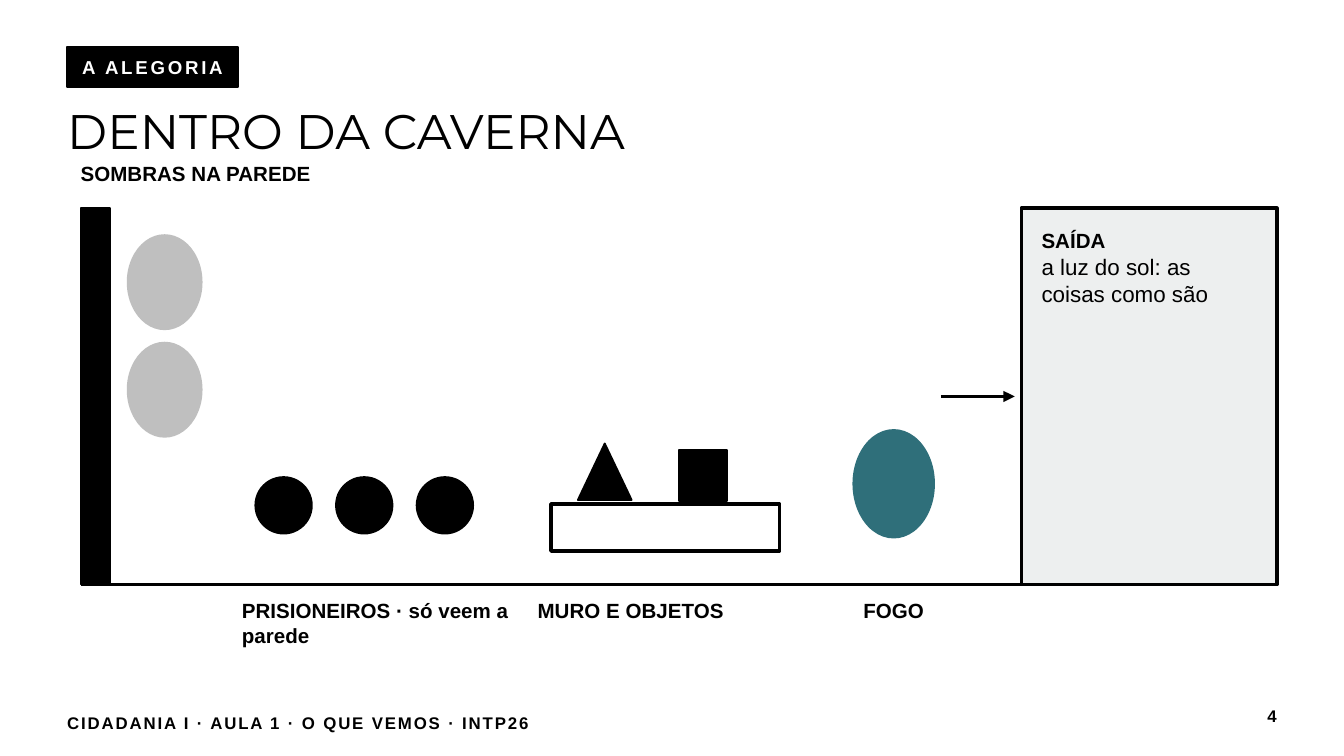
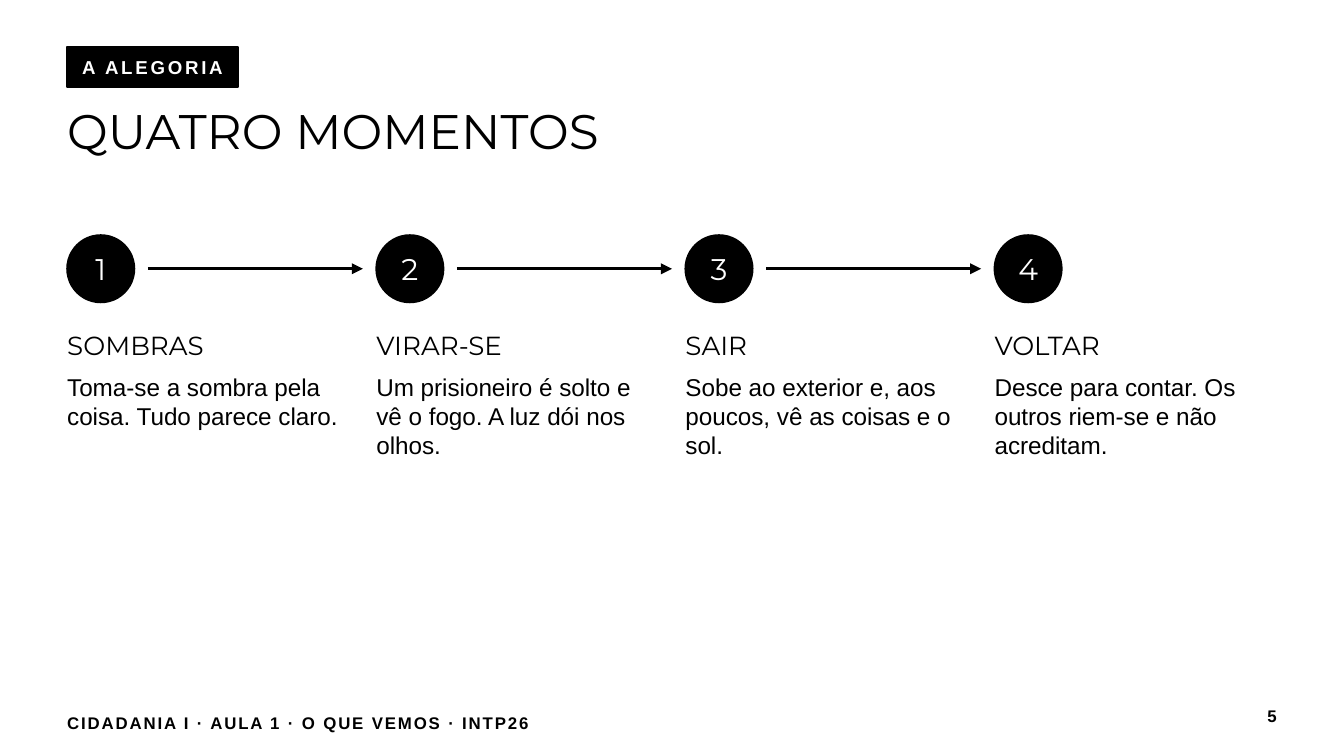
from lxml import etree
from pptx import Presentation
from pptx.dml.color import RGBColor
from pptx.enum.shapes import MSO_CONNECTOR, MSO_SHAPE
from pptx.enum.text import MSO_ANCHOR, MSO_AUTO_SIZE, PP_ALIGN
from pptx.oxml.ns import qn
from pptx.util import Inches, Pt

BLACK, WHITE = "000000", "FFFFFF"
SHADOW, FIRE, DAYLIGHT = "BFBFBF", "2F6F7A", "EDEFEF"
BODY, DISPLAY = "Arial", "Montserrat"
LEFT, CENTER, RIGHT = PP_ALIGN.LEFT, PP_ALIGN.CENTER, PP_ALIGN.RIGHT
COLUMNS, ROWS = 100, 56.25
MARGIN = 5


def rgb(value):
    return RGBColor.from_string(value)


class Deck:
    def __init__(self):
        self.file = Presentation()
        self.file.slide_width, self.file.slide_height = Inches(10), Inches(5.625)
        self.layout = self.file.slide_layouts[5]
        self.slide = None

    def x(self, columns):
        return round(self.file.slide_width * columns / COLUMNS)

    def y(self, rows):
        return round(self.file.slide_height * rows / ROWS)

    def area(self, left, top, width, height):
        return self.x(left), self.y(top), self.x(width), self.y(height)

    def style(self, size, font=BODY, color=BLACK, bold=False, spacing=0):
        return dict(size=size, font=font, color=color, bold=bold, spacing=spacing)

    def fill_text(self, shape, lines, align=LEFT, anchor=MSO_ANCHOR.TOP, after=0):
        frame = shape.text_frame
        frame.word_wrap = True
        frame.auto_size = MSO_AUTO_SIZE.NONE
        frame.vertical_anchor = anchor
        frame.margin_left = frame.margin_right = 0
        frame.margin_top = frame.margin_bottom = 0
        for index, (text, style) in enumerate(lines):
            paragraph = frame.add_paragraph() if index else frame.paragraphs[0]
            paragraph.alignment = align
            paragraph.space_after = Pt(after)
            run = paragraph.add_run()
            run.text = text
            run.font.name, run.font.size = style["font"], Pt(style["size"])
            run.font.bold = style["bold"]
            run.font.color.rgb = rgb(style["color"])
            if style["spacing"]:
                run._r.get_or_add_rPr().set("spc", str(round(style["spacing"] * 100)))

    def text(self, area, lines, **layout):
        box = self.slide.shapes.add_textbox(*self.area(*area))
        self.fill_text(box, lines, **layout)
        return box

    def label(self, area, text, align=LEFT):
        self.text(area, [(text, self.style(11, bold=True))], align=align)

    def shape(self, kind, area, fill=BLACK, line=None, weight=1):
        shape = self.slide.shapes.add_shape(kind, *self.area(*area))
        shape.shadow.inherit = False
        shape.fill.solid()
        shape.fill.fore_color.rgb = rgb(fill)
        shape.line.color.rgb = rgb(line or fill)
        shape.line.width = Pt(weight)
        return shape

    def badge(self, kind, area, text, style):
        self.fill_text(self.shape(kind, area), [(text, style)], CENTER, MSO_ANCHOR.MIDDLE)

    def horizontal(self, start, end, row, weight, arrow=False):
        line = self.slide.shapes.add_connector(
            MSO_CONNECTOR.STRAIGHT, self.x(start), self.y(row), self.x(end), self.y(row))
        line.line.color.rgb = rgb(BLACK)
        line.line.width = Pt(weight)
        properties = line.element.spPr
        if arrow:
            etree.SubElement(properties.find(qn("a:ln")), qn("a:tailEnd"), type="triangle")
        etree.SubElement(properties, qn("a:effectLst"))

    def page(self, title, tag, number):
        self.slide = self.file.slides.add_slide(self.layout)
        heading = self.slide.shapes.title
        heading.left, heading.top, heading.width, heading.height = self.area(MARGIN, 7.5, 90, 7.5)
        self.fill_text(heading, [(title, self.style(26, DISPLAY))])
        self.badge(MSO_SHAPE.RECTANGLE, (MARGIN, 3.5, 12.7, 3), tag,
                   self.style(10, color=WHITE, bold=True, spacing=1.5))
        self.text((89, 52.5, 6, 2.5), [(str(number), self.style(9, bold=True))], align=RIGHT)

    def shared_footer(self, text):
        box = self.text((MARGIN, 52.5, 60, 2.5),
                        [(text, self.style(9, bold=True, spacing=1))], anchor=MSO_ANCHOR.MIDDLE)
        self.layout.shapes.element.append(box.element)


deck = Deck()
RECT, OVAL = MSO_SHAPE.RECTANGLE, MSO_SHAPE.OVAL

deck.page("DENTRO DA CAVERNA", "A ALEGORIA", 4)
deck.shared_footer("CIDADANIA I · AULA 1 · O QUE VEMOS · INTP26")

cave_left, cave_top, cave_height = 6, 15.5, 28
ground = cave_top + cave_height
deck.shape(RECT, (cave_left, cave_top, 2.2, cave_height))
for shadow in range(2):
    deck.shape(OVAL, (9.5, 17.5 + 8 * shadow, 5.5, 7), SHADOW)
for prisoner in range(3):
    deck.shape(OVAL, (19 + 6 * prisoner, 35.5, 4.2, 4.2))
deck.shape(RECT, (41, 37.5, 17, 3.5), WHITE, BLACK, 2)
deck.shape(MSO_SHAPE.ISOSCELES_TRIANGLE, (43, 33, 4, 4.2))
deck.shape(RECT, (50.5, 33.5, 3.6, 3.8))
deck.shape(OVAL, (63.5, 32, 6, 8), FIRE)
deck.shape(RECT, (76, cave_top, 19, cave_height), DAYLIGHT, BLACK, 2)
deck.horizontal(70, 75.5, 29.5, 2, arrow=True)
deck.horizontal(cave_left, 95, ground, 1.5)

deck.label((cave_left, 12, 22, 5), "SOMBRAS NA PAREDE")
for left, width, caption, align in (
    (18, 22, "PRISIONEIROS · só veem a parede", LEFT),
    (40, 19, "MURO E OBJETOS", LEFT),
    (62, 9, "FOGO", CENTER),
):
    deck.label((left, ground + 1, width, 5), caption, align)
deck.text((77.5, 17, 16, 14), [
    ("SAÍDA", deck.style(11, bold=True)),
    ("a luz do sol: as coisas como são", deck.style(12)),
])

deck.page("QUATRO MOMENTOS", "A ALEGORIA", 5)
moments = [
    ("SOMBRAS", "Toma-se a sombra pela coisa. Tudo parece claro."),
    ("VIRAR-SE", "Um prisioneiro é solto e vê o fogo. A luz dói nos olhos."),
    ("SAIR", "Sobe ao exterior e, aos poucos, vê as coisas e o sol."),
    ("VOLTAR", "Desce para contar. Os outros riem-se e não acreditam."),
]
step, circle, circle_top, gap = 23, 5, 17.5, 1
for index, (name, story) in enumerate(moments):
    left = MARGIN + step * index
    deck.badge(OVAL, (left, circle_top, circle, circle), str(index + 1),
               deck.style(16, DISPLAY, WHITE))
    if index < len(moments) - 1:
        deck.horizontal(left + circle + gap, left + step - gap,
                        circle_top + circle / 2, 1.5, arrow=True)
    deck.text((left, 24.5, 20.5, 19),
              [(name, deck.style(14, DISPLAY)), (story, deck.style(13))], after=6)

deck.file.save("out.pptx")
